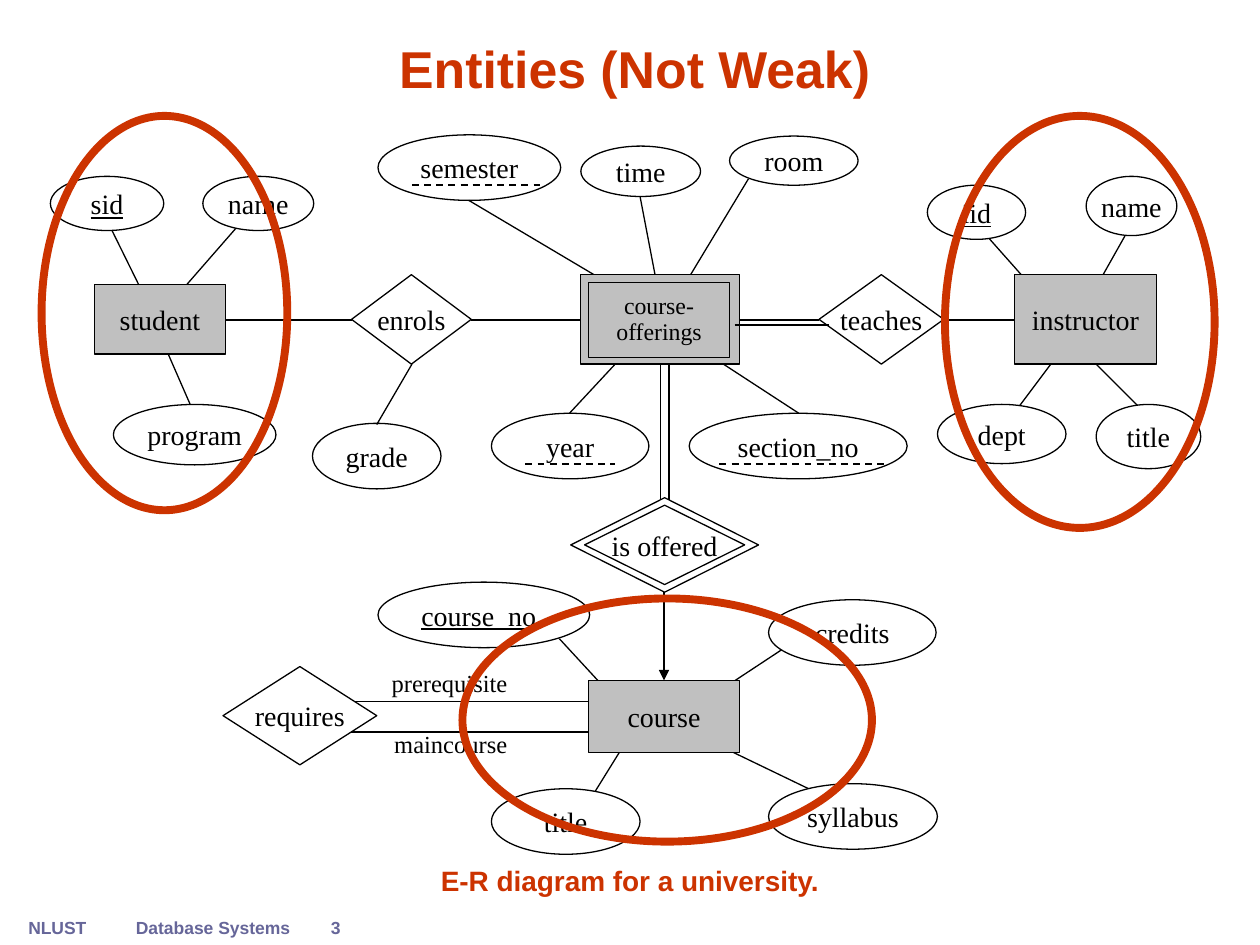
from dataclasses import dataclass

from lxml import etree
from pptx import Presentation
from pptx.dml.color import RGBColor
from pptx.enum.dml import MSO_LINE
from pptx.enum.shapes import MSO_CONNECTOR, MSO_SHAPE
from pptx.enum.text import MSO_ANCHOR, PP_ALIGN
from pptx.oxml.ns import qn
from pptx.util import Inches, Pt

LEFT, CENTER = PP_ALIGN.LEFT, PP_ALIGN.CENTER
MIDDLE, BOTTOM = MSO_ANCHOR.MIDDLE, MSO_ANCHOR.BOTTOM
OVAL, RECTANGLE, DIAMOND = MSO_SHAPE.OVAL, MSO_SHAPE.RECTANGLE, MSO_SHAPE.DIAMOND
PROCESS, DECISION = MSO_SHAPE.FLOWCHART_PROCESS, MSO_SHAPE.FLOWCHART_DECISION
STRAIGHT, DASH = MSO_CONNECTOR.STRAIGHT, MSO_LINE.DASH


@dataclass(frozen=True)
class Theme:
    ink: str = "000000"
    paper: str = "FFFFFF"
    entity: str = "C0C0C0"
    accent: str = "CC3300"
    footer: str = "666699"
    heading_font: str = "Arial"
    label_font: str = "Times New Roman"
    title_size: float = 29.6
    label_size: float = 16
    role_size: float = 14
    weak_size: float = 13.6
    footer_size: float = 10
    thin: float = 0.75
    dash: float = 1
    ring: float = 4.5


THEME = Theme()

TITLE = ("Entities (Not Weak)", (0.33, 0.22, 9.42, 0.62))
CAPTION = ("E-R diagram for a university.", (0.75, 6.66, 8.5, 0.51))
FOOTER = [
    ("NLUST", (0.12, 7.23, 0.67, 0.27), CENTER),
    ("3", (2.23, 7.23, 0.87, 0.27), CENTER),
    ("Database Systems", (0.98, 7.23, 1.42, 0.27), LEFT),
]
FILLED_ATTRIBUTES = [
    ("title", (8.7, 3.21, 0.83, 0.51)),
    ("dept", (7.44, 3.21, 1.02, 0.47)),
    ("name", (8.62, 1.4, 0.72, 0.47)),
    ("iid", (7.36, 1.47, 0.78, 0.43)),
    ("syllabus", (6.1, 6.22, 1.34, 0.52)),
    ("credits", (6.1, 4.76, 1.33, 0.52)),
    ("section_no", (5.47, 3.28, 1.73, 0.52)),
    ("name", (1.61, 1.4, 0.88, 0.43)),
    ("sid", (0.4, 1.4, 0.9, 0.43)),
    ("program", (0.9, 3.21, 1.29, 0.48)),
    ("title", (3.9, 6.26, 1.18, 0.52)),
]
OPEN_ATTRIBUTES = [
    ("course_no", (3, 4.62, 1.68, 0.52)),
    ("time", (4.61, 1.16, 0.95, 0.4)),
    ("room", (5.79, 1.08, 1.02, 0.39)),
    ("semester", (3, 1.07, 1.45, 0.52)),
    ("year", (3.9, 3.28, 1.25, 0.52)),
    ("grade", (2.48, 3.36, 1.02, 0.52)),
]
KEYS = {"iid", "sid", "course_no"}
ENTITIES = [
    ("student", (0.75, 2.26, 1.04, 0.55)),
    ("instructor", (8.05, 2.18, 1.13, 0.71)),
    ("course", (4.67, 5.4, 1.2, 0.57)),
]
WEAK_ENTITY = ("course- offerings", (4.61, 2.18, 1.26, 0.71), (4.67, 2.24, 1.12, 0.6))
RELATIONSHIPS = [
    ("requires", (1.77, 5.29, 1.22, 0.78)),
    ("enrols", (2.79, 2.18, 0.95, 0.71)),
    ("teaches", (6.5, 2.18, 0.99, 0.71)),
]
WEAK_RELATIONSHIP = ("is offered", (4.53, 3.95, 1.49, 0.75), (4.64, 4.01, 1.27, 0.63))
ROLES = [
    ("prerequisite", (3.01, 5.25, 1.43, 0.34)),
    ("maincourse", (3.03, 5.73, 1.42, 0.34)),
]
EDGES = [
    (7.75, 1.78, 8.38, 2.49), (9.02, 1.71, 8.62, 2.42),
    (7.89, 3.49, 8.46, 2.73), (9.33, 3.52, 8.54, 2.73),
    (4.75, 5.57, 2.78, 5.57), (4.75, 5.81, 2.78, 5.81),
    (6.29, 5.1, 5.79, 5.43), (6.48, 6.29, 5.63, 5.88),
    (4.44, 5.07, 5.27, 5.97), (5.27, 5.4, 4.6, 6.48),
    (5.31, 4.07, 5.31, 2.81), (5.24, 4.07, 5.24, 2.81),
    (4.52, 3.28, 5.18, 2.57), (6.34, 3.28, 5.25, 2.57),
    (5.94, 1.42, 5.27, 2.53), (5.08, 1.56, 5.26, 2.5),
    (3.72, 1.59, 5.22, 2.48), (1.78, 2.54, 2.79, 2.54),
    (3.74, 2.54, 4.61, 2.54), (3.27, 2.89, 2.99, 3.37),
    (0.83, 1.71, 1.22, 2.5), (1.9, 1.78, 1.35, 2.41),
    (1.3, 2.73, 1.61, 3.44), (5.87, 2.54, 6.5, 2.54),
    (7.49, 2.54, 8.05, 2.54),
]
TOTAL_PARTICIPATION = (5.83, 2.58, 6.58, 2.58)
ARROW = (5.27, 4.7, 5.27, 5.4)
PARTIAL_KEYS = [
    (5.71, 3.68, 7.05, 3.68), (3.27, 1.47, 4.29, 1.47), (4.17, 3.68, 4.88, 3.68),
]
RINGS = [(0.33, 0.92, 1.95, 3.13), (3.67, 4.75, 3.25, 1.93), (7.5, 0.92, 2.14, 3.27)]


def write(shape, text, size, color=THEME.ink, font=THEME.label_font, bold=False,
          underline=False, align=CENTER, anchor=MIDDLE, wrap=False, spacing=1.0):
    frame = shape.text_frame
    frame.text = text
    frame.word_wrap = wrap
    frame.vertical_anchor = anchor
    paragraph = frame.paragraphs[0]
    paragraph.alignment = align
    paragraph.line_spacing = spacing
    run_font = paragraph.runs[0].font
    run_font.name, run_font.size = font, Pt(size)
    run_font.bold, run_font.underline = bold, underline
    run_font.color.rgb = RGBColor.from_string(color)


def add_text(slide, text, box, size, **style):
    write(slide.shapes.add_textbox(*map(Inches, box)), text, size, **style)


def add_node(slide, kind, box, fill=None, line=THEME.ink, width=THEME.thin):
    shape = slide.shapes.add_shape(kind, *map(Inches, box))
    shape.shadow.inherit = False
    if fill:
        shape.fill.solid()
        shape.fill.fore_color.rgb = RGBColor.from_string(fill)
    else:
        shape.fill.background()
    shape.line.color.rgb = RGBColor.from_string(line)
    shape.line.width = Pt(width)
    return shape


def add_line(slide, ends, width=THEME.thin, dash=None, arrow=False):
    connector = slide.shapes.add_connector(STRAIGHT, *map(Inches, ends))
    connector.line.color.rgb = RGBColor.from_string(THEME.ink)
    connector.line.width = Pt(width)
    if dash:
        connector.line.dash_style = dash
    if arrow:
        etree.SubElement(connector.line._get_or_add_ln(), qn("a:tailEnd"), type="triangle")
    etree.SubElement(connector._element.spPr, qn("a:effectLst"))


def main():
    presentation = Presentation()
    presentation.slide_width, presentation.slide_height = Inches(10), Inches(7.5)
    slide = presentation.slides.add_slide(presentation.slide_layouts[6])
    heading = {"font": THEME.heading_font, "bold": True}

    for text, box, align in FOOTER:
        add_text(slide, text, box, THEME.footer_size, color=THEME.footer, align=align, **heading)
    add_text(slide, *CAPTION, THEME.label_size, color=THEME.accent, anchor=BOTTOM,
             wrap=True, **heading)
    for ends in EDGES:
        add_line(slide, ends)
    for text, box in ROLES:
        add_text(slide, text, box, THEME.role_size, align=LEFT, wrap=True)

    for kind, fill, nodes in (
        (OVAL, THEME.paper, FILLED_ATTRIBUTES),
        (OVAL, None, OPEN_ATTRIBUTES),
        (PROCESS, THEME.entity, ENTITIES),
        (DECISION, THEME.paper, RELATIONSHIPS),
    ):
        for text, box in nodes:
            long_key = text == "course_no"
            write(add_node(slide, kind, box, fill), text, THEME.label_size,
                  underline=text in KEYS, align=LEFT if long_key else CENTER, wrap=long_key)

    text, outer, inner = WEAK_ENTITY
    add_node(slide, RECTANGLE, outer, THEME.entity)
    write(add_node(slide, RECTANGLE, inner, THEME.entity), text, THEME.weak_size,
          wrap=True, spacing=0.9)
    text, outer, inner = WEAK_RELATIONSHIP
    add_node(slide, DIAMOND, outer, THEME.paper)
    write(add_node(slide, DECISION, inner, THEME.paper), text, THEME.label_size)

    add_line(slide, ARROW, arrow=True)
    for ends in PARTIAL_KEYS:
        add_line(slide, ends, THEME.dash, DASH)
    add_text(slide, *TITLE, THEME.title_size, color=THEME.accent, anchor=BOTTOM,
             wrap=True, spacing=0.9, **heading)
    for box in RINGS:
        add_node(slide, OVAL, box, line=THEME.accent, width=THEME.ring)
    add_line(slide, TOTAL_PARTICIPATION)
    presentation.save("out.pptx")


if __name__ == "__main__":
    main()
